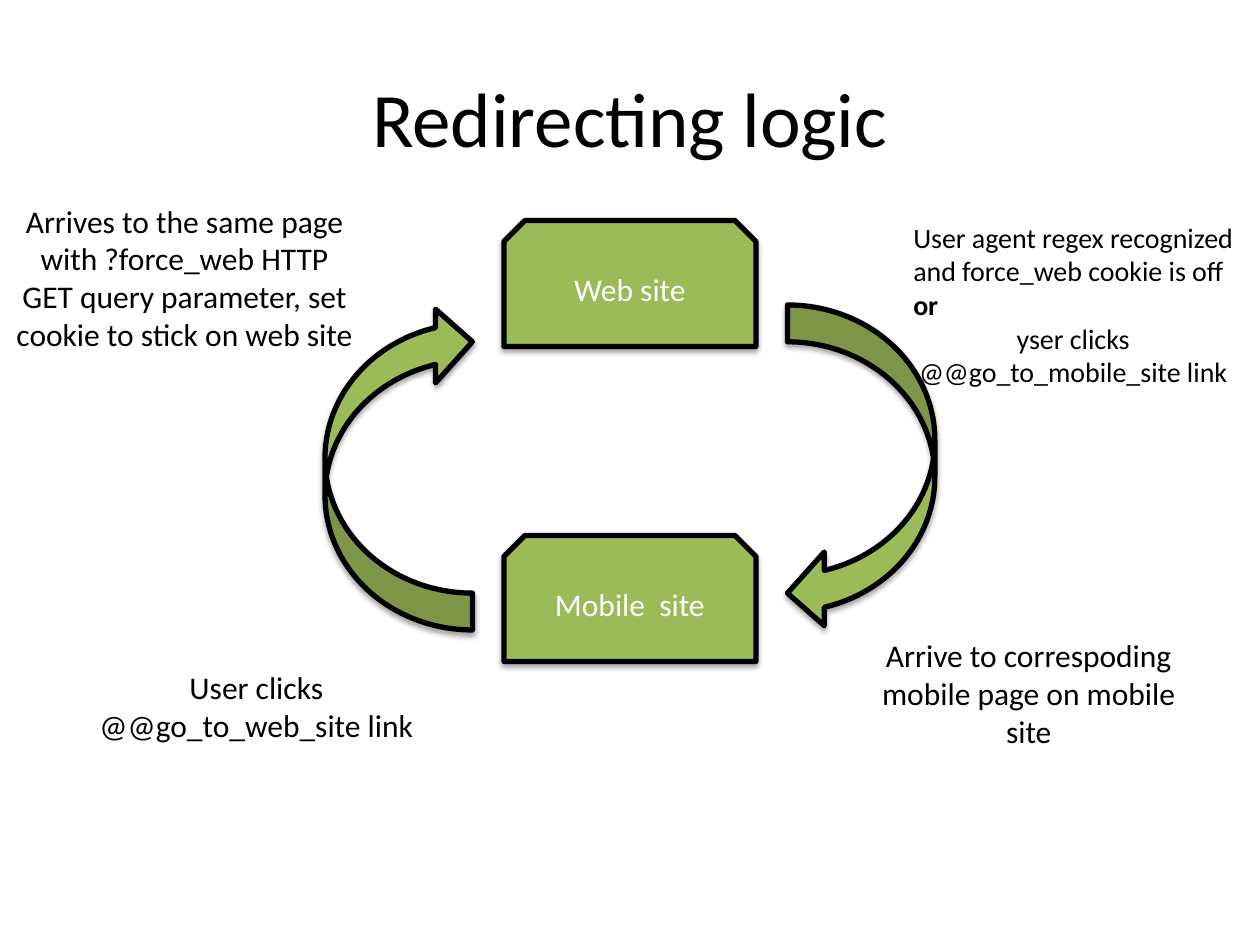
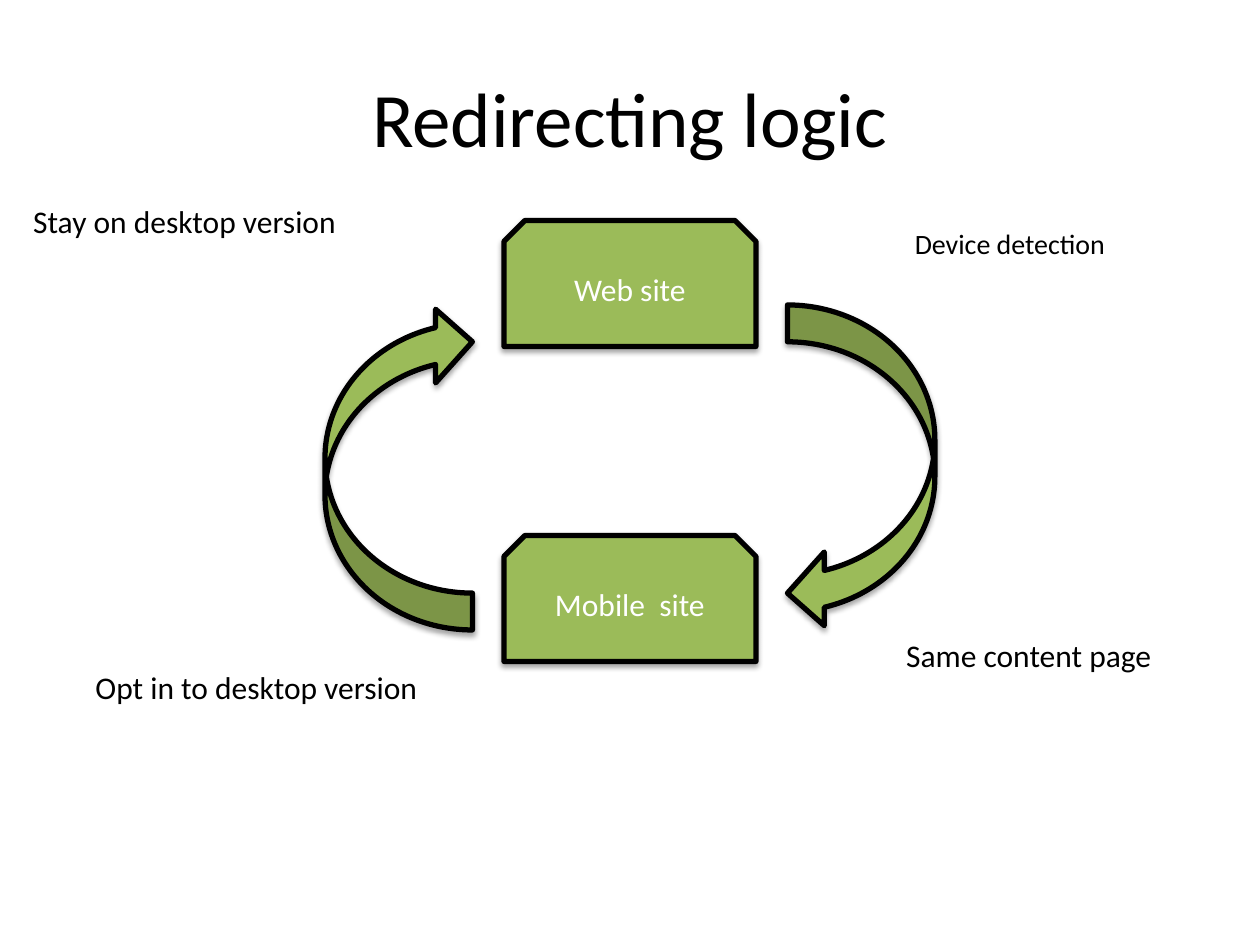
from dataclasses import dataclass

from lxml.etree import SubElement
from pptx import Presentation
from pptx.dml.color import RGBColor
from pptx.enum.shapes import MSO_SHAPE as Preset
from pptx.enum.text import MSO_ANCHOR as Anchor, MSO_AUTO_SIZE as AutoSize, PP_ALIGN as Align
from pptx.oxml.ns import qn
from pptx.shapes.autoshape import Shape
from pptx.slide import Slide
from pptx.util import Emu, Inches, Pt

BLACK = RGBColor(0x00, 0x00, 0x00)
WHITE = RGBColor(0xFF, 0xFF, 0xFF)
GREEN = RGBColor(0x9B, 0xBB, 0x59)
FONT = "Calibri"
TITLE = "Redirecting logic"
TITLE_ONLY = 5

# The page is a grid of quarter-inch cells
COLUMNS, ROWS = 40, 30
CELL = 0.25
LINE_SPACING = 1.22
INSET_ROWS = 0.4


@dataclass(frozen=True)
class Area:
    column: float
    row: float
    columns: float
    rows: float

    def lengths(self) -> tuple[Emu, Emu, Emu, Emu]:
        return (Inches(self.column * CELL), Inches(self.row * CELL),
                Inches(self.columns * CELL), Inches(self.rows * CELL))


@dataclass(frozen=True)
class Line:
    text: str
    align: Align = Align.CENTER
    bold: bool = False


@dataclass(frozen=True)
class Note:
    column: float
    row: float
    columns: float
    lines: tuple[Line, ...]
    shown_lines: int = 1
    size: int = 18
    wrap: bool = True

    def area(self) -> Area:
        line_rows = self.size * LINE_SPACING / 72 / CELL
        return Area(self.column, self.row, self.columns,
                    INSET_ROWS + self.shown_lines * line_rows)


TITLE_AREA = Area(2, 1.2, 36, 5)
SITES = (("Web site", Area(16, 7, 8, 4)), ("Mobile  site", Area(16, 17, 8, 4)))
ARROW_WIDTH = 4.68
RIGHT_ARROW = Area(25, 9.68, ARROW_WIDTH, 10.32)
LEFT_ARROW = Area(COLUMNS - 25 - ARROW_WIDTH, 9.68, ARROW_WIDTH, 10.32)
NOTE_WIDTH = 11.72

DETAILED_NOTES = (
    Note(28.6, 6.8, 11.08, (
        Line("User agent regex recognized", Align.LEFT),
        Line("and force_web cookie is off", Align.LEFT),
        Line("or", Align.LEFT, bold=True),
        Line("yser clicks"),
        Line("@@go_to_mobile_site link")), shown_lines=5, size=16, wrap=False),
    Note(26.8, 20, NOTE_WIDTH, (
        Line("Arrive to correspoding mobile page on mobile site"),), shown_lines=3),
    Note(2.28, 21, NOTE_WIDTH, (
        Line("User clicks"), Line("@@go_to_web_site link")), shown_lines=2),
    Note(0, 6.2, NOTE_WIDTH, (
        Line("Arrives to the same page with ?force_web HTTP GET query parameter, "
             "set cookie to stick on web site"),), shown_lines=4),
)
SHORT_NOTES = (
    Note(28.6, 7, 6.92, (Line("Device detection"),), size=16, wrap=False),
    Note(26.8, 20, NOTE_WIDTH, (Line("Same content page"),)),
    Note(2.28, 21, NOTE_WIDTH, (Line("Opt in to desktop version"),)),
    Note(0, 6.2, NOTE_WIDTH, (Line("Stay on desktop version"),)),
)


def write_lines(shape: Shape, lines: tuple[Line, ...], size: int, color: RGBColor) -> None:
    frame = shape.text_frame
    frame.text = "\n".join(line.text for line in lines)
    for para, line in zip(frame.paragraphs, lines):
        para.alignment = line.align
        for span in para.runs:
            span.font.name = FONT
            span.font.size = Pt(size)
            span.font.bold = line.bold
            span.font.color.rgb = color


def add_shadow(shape: Shape) -> None:
    shape.shadow.inherit = False
    effects = shape.element.spPr.find(qn("a:effectLst"))
    shadow = SubElement(effects, qn("a:outerShdw"), blurRad=str(Pt(3.1)),
                        dist=str(Pt(1.8)), dir=str(90 * 60000), rotWithShape="0")
    color = SubElement(shadow, qn("a:srgbClr"), val=str(BLACK))
    SubElement(color, qn("a:alpha"), val="35000")


def add_green_shape(page: Slide, preset: Preset, area: Area) -> Shape:
    shape = page.shapes.add_shape(preset, *area.lengths())
    shape.fill.solid()
    shape.fill.fore_color.rgb = GREEN
    shape.line.color.rgb = BLACK
    shape.line.width = Pt(3)
    add_shadow(shape)
    return shape


def add_title(page: Slide) -> None:
    title = page.shapes.title
    title.left, title.top, title.width, title.height = TITLE_AREA.lengths()
    title.text_frame.vertical_anchor = Anchor.MIDDLE
    write_lines(title, (Line(TITLE),), 44, BLACK)


def add_cycle(page: Slide) -> None:
    for name, area in SITES:
        box = add_green_shape(page, Preset.SNIP_2_SAME_RECTANGLE, area)
        box.text_frame.vertical_anchor = Anchor.MIDDLE
        write_lines(box, (Line(name),), 18, WHITE)
    add_green_shape(page, Preset.CURVED_LEFT_ARROW, RIGHT_ARROW)
    returning = add_green_shape(page, Preset.CURVED_LEFT_ARROW, LEFT_ARROW)
    for flip in ("flipH", "flipV"):
        returning.element.spPr.find(qn("a:xfrm")).set(flip, "1")


def add_note(page: Slide, note: Note) -> None:
    box = page.shapes.add_textbox(*note.area().lengths())
    box.text_frame.word_wrap = note.wrap
    box.text_frame.auto_size = AutoSize.SHAPE_TO_FIT_TEXT
    write_lines(box, note.lines, note.size, BLACK)


deck = Presentation()
deck.slide_width = Inches(COLUMNS * CELL)
deck.slide_height = Inches(ROWS * CELL)

# One page per set of notes around the same cycle
for notes in (DETAILED_NOTES, SHORT_NOTES):
    page = deck.slides.add_slide(deck.slide_layouts[TITLE_ONLY])
    page.background.fill.solid()
    page.background.fill.fore_color.rgb = WHITE
    add_title(page)
    add_cycle(page)
    for note in notes:
        add_note(page, note)

deck.save("out.pptx")
